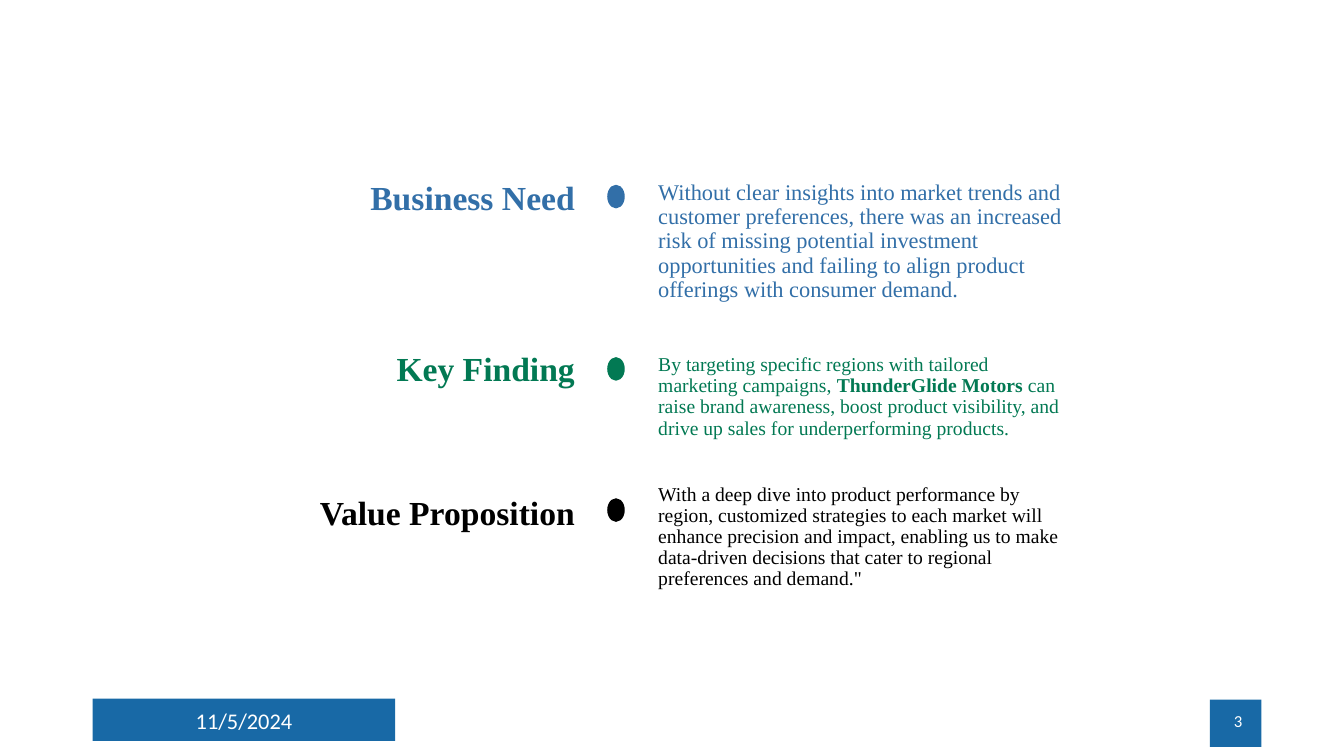
"""Build a summary slide pairing three headings with their explanations."""
from pptx import Presentation
from pptx.dml.color import RGBColor
from pptx.enum.shapes import MSO_SHAPE
from pptx.enum.text import MSO_ANCHOR, PP_ALIGN
from pptx.util import Inches, Pt

THEME = {
    "blue": RGBColor.from_string("326FA8"),
    "green": RGBColor.from_string("027953"),
    "black": RGBColor.from_string("000000"),
    "bar": RGBColor.from_string("1869A6"),
    "white": RGBColor.from_string("FFFFFF"),
    "serif": "Times New Roman",
    "sans": "Calibri",
    "heading": 24,
    "lead": 16,
    "body": 14,
    "date": 16,
    "number": 12,
}

TOPICS = [
    {"color": "blue", "heading": "Business Need", "size": "lead", "dot_top": 1.84,
     "heading_gap": 10, "body_gap": 10,
     "body": [("Without clear insights into market trends and customer preferences, "
               "there was an increased risk of missing potential investment "
               "opportunities and failing to align product offerings with "
               "consumer demand.", False)]},
    {"color": "green", "heading": "Key Finding", "size": "body", "dot_top": 3.55,
     "heading_gap": 96, "body_gap": 37.5,
     "body": [("By targeting specific regions with tailored marketing campaigns, ", False),
              ("ThunderGlide Motors", True),
              (" can raise brand awareness, boost product visibility, and drive up "
               "sales for underperforming products.", False)]},
    {"color": "black", "heading": "Value Proposition", "size": "body", "dot_top": 4.95,
     "heading_gap": 77.5, "body_gap": 32,
     "body": [("With a deep dive into product performance by region, customized "
               "strategies to each market will enhance precision and impact, "
               "enabling us to make data-driven decisions that cater to regional "
               "preferences and demand.\"", False)]},
]

FOOTER_BARS = [(0.92, 6.93, 3, 0.42), (12, 6.94, 0.51, 0.47)]
FOOTER_TEXTS = [
    ("11/5/2024", (0.92, 6.95, 3, 0.4), PP_ALIGN.CENTER, "date"),
    ("3", (9.42, 6.95, 3, 0.4), PP_ALIGN.RIGHT, "number"),
]
HEADING_BOX = (1.63, 1.75, 4.17, 4.73)
BODY_BOX = (6.43, 1.75, 4.21, 4.73)
DOT_LEFT, DOT_WIDTH, DOT_HEIGHT = 6.03, 0.16, 0.22


def add_filled(slide, kind, box, color, outlined=False):
    sp = slide.shapes.add_shape(kind, *map(Inches, box))
    sp.shadow.inherit = False
    sp.fill.solid()
    sp.fill.fore_color.rgb = THEME[color]
    if outlined:
        sp.line.color.rgb = THEME[color]
        sp.line.width = Pt(1)
    else:
        sp.line.fill.background()


def add_box(slide, box, anchor=MSO_ANCHOR.TOP):
    tf = slide.shapes.add_textbox(*map(Inches, box)).text_frame
    tf.word_wrap = True
    tf.vertical_anchor = anchor
    return tf


def add_run(p, text, font, size, color, bold=False):
    r = p.add_run()
    r.text = text
    r.font.name = THEME[font]
    r.font.size = Pt(THEME[size])
    r.font.color.rgb = THEME[color]
    r.font.bold = bold


def add_column(slide, box, align, entries):
    tf = add_box(slide, box)
    for i, (gap, size, color, runs) in enumerate(entries):
        p = tf.add_paragraph() if i else tf.paragraphs[0]
        p.alignment = align
        p.line_spacing = 0.9
        p.space_before = Pt(gap)
        for text, bold in runs:
            add_run(p, text, "serif", size, color, bold)


def main():
    prs = Presentation()
    prs.slide_width, prs.slide_height = Inches(13.33), Inches(7.5)
    slide = prs.slides.add_slide(prs.slide_layouts[6])

    for box in FOOTER_BARS:
        add_filled(slide, MSO_SHAPE.RECTANGLE, box, "bar")
    for text, box, align, size in FOOTER_TEXTS:
        p = add_box(slide, box, MSO_ANCHOR.MIDDLE).paragraphs[0]
        p.alignment = align
        add_run(p, text, "sans", size, "white")

    add_column(slide, HEADING_BOX, PP_ALIGN.RIGHT,
               [(t["heading_gap"], "heading", t["color"], [(t["heading"], True)])
                for t in TOPICS])
    add_column(slide, BODY_BOX, PP_ALIGN.LEFT,
               [(t["body_gap"], t["size"], t["color"], t["body"]) for t in TOPICS])
    for t in TOPICS:
        add_filled(slide, MSO_SHAPE.OVAL,
                   (DOT_LEFT, t["dot_top"], DOT_WIDTH, DOT_HEIGHT), t["color"], True)

    prs.save("out.pptx")


if __name__ == "__main__":
    main()
